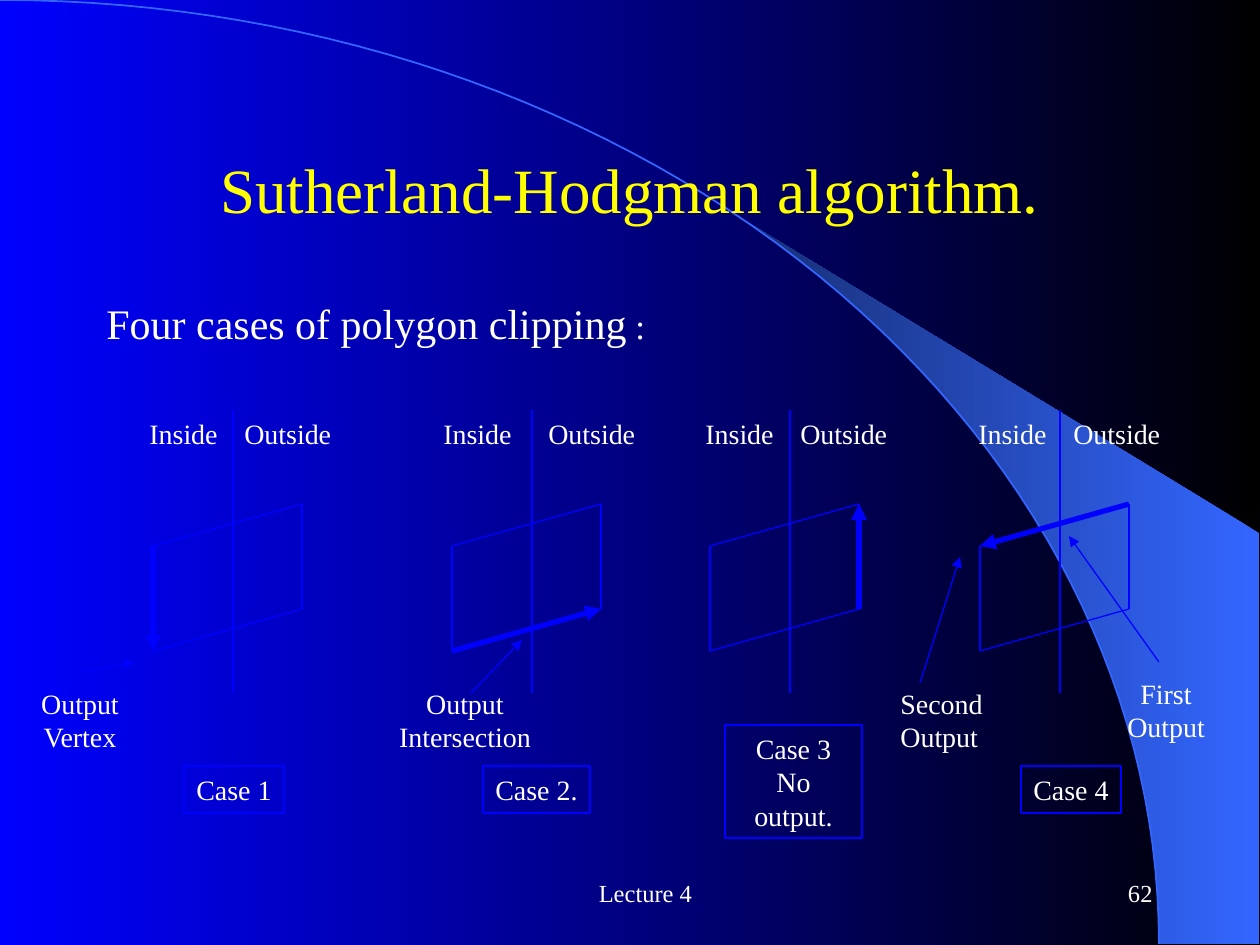
"""Build a slide on the four cases of Sutherland-Hodgman polygon clipping."""
from math import asin, cos, pi, sin

from lxml.etree import SubElement
from pptx import Presentation
from pptx.dml.color import RGBColor
from pptx.enum.shapes import MSO_CONNECTOR as Connector, MSO_SHAPE as Shape
from pptx.enum.text import MSO_ANCHOR as Anchor, MSO_AUTO_SIZE as AutoSize, PP_ALIGN as Align
from pptx.oxml.ns import qn
from pptx.util import Emu, Pt

WHITE = RGBColor(0xFF, 0xFF, 0xFF)
YELLOW = RGBColor(0xFF, 0xFF, 0x00)
BLACK = RGBColor(0x00, 0x00, 0x00)
BLUE = RGBColor(0x00, 0x00, 0xFF)
SKY = RGBColor(0x33, 0x66, 0xFF)
NAVY = RGBColor(0x17, 0x2F, 0x75)
FONT = "Times New Roman"
EMU_PER_PX = 914400 / 126

TITLE = "Sutherland-Hodgman algorithm."
INTRO = "Four cases of polygon clipping"
INTRO_END = " :"
FOOTER = "Lecture 4"
PAGE_NUMBER = "62"

CASES = [
    dict(wall=233, inside=137, outside=232, edge=("top left", "bottom left"),
         caption=("Case 1", 184, 766, 100, 47),
         notes=[("Output\nVertex", 27, 680, 106, Align.CENTER)],
         pointers=[((83, 672), (134, 662))]),
    dict(wall=532, inside=431, outside=536, edge=("bottom left", "bottom right"),
         caption=("Case 2.", 483, 766, 107, 47),
         notes=[("Output\nIntersection", 384, 680, 162, Align.CENTER)],
         pointers=[((471, 693), (522, 640))]),
    dict(wall=790, inside=693, outside=788, edge=("bottom right", "top right"),
         caption=("Case 3\nNo output.", 725, 725, 137, 113),
         notes=[], pointers=[]),
    dict(wall=1060, inside=966, outside=1061, edge=("top right", "top left"),
         caption=("Case 4", 1021, 766, 100, 47),
         notes=[("Second\nOutput", 888, 680, 110, Align.LEFT),
                ("First\nOutput", 1113, 670, 106, Align.CENTER)],
         pointers=[((920, 683), (960, 557)), ((1159, 662), (1069, 536))]),
]

ARC_WIDTH, ARC_HEIGHT = 1159, 944
BAND_START, BAND_RIGHT, BAND_CORNER = 742, 1259, 533
WALL_TOP, WALL_BOTTOM = 410, 693


def px(length):
    return Emu(round(length * EMU_PER_PX))


def format_run(run, size, color=WHITE):
    run.font.name = FONT
    run.font.size = Pt(size)
    run.font.color.rgb = color


def add_text(slide, text, left, top, width, height, size=16, align=Align.LEFT,
             anchor=Anchor.TOP, wrap=False, outline=False):
    box = tuple(map(px, (left, top, width, height)))
    if outline:
        shape = slide.shapes.add_shape(Shape.RECTANGLE, *box)
        shape.shadow.inherit = False
        shape.fill.background()
        shape.line.color.rgb = BLUE
        shape.line.width = Pt(0.75)
    else:
        shape = slide.shapes.add_textbox(*box)
    frame = shape.text_frame
    frame.text = text
    frame.word_wrap = wrap
    frame.auto_size = AutoSize.NONE if wrap else AutoSize.SHAPE_TO_FIT_TEXT
    frame.vertical_anchor = anchor
    for paragraph in frame.paragraphs:
        paragraph.alignment = align
        format_run(paragraph.runs[0], size)
    return shape


def add_line(slide, start, end, width=0.75, arrow=False):
    line = slide.shapes.add_connector(Connector.STRAIGHT, *map(px, start + end))
    line.line.color.rgb = BLUE
    line.line.width = Pt(width)
    if arrow:
        SubElement(line.line._get_or_add_ln(), qn("a:tailEnd"), type="triangle")
    SubElement(line.element.spPr, qn("a:effectLst"))


def add_outline(slide, points, close):
    points = [(px(x), px(y)) for x, y in points]
    builder = slide.shapes.build_freeform(*points[0])
    builder.add_line_segments(points[1:], close=close)
    shape = builder.convert_to_shape()
    shape.shadow.inherit = False
    return shape


def arc_points(first_angle, steps=60):
    angles = [first_angle + (pi / 2 - first_angle) * i / steps for i in range(steps + 1)]
    return [(ARC_WIDTH * sin(a), ARC_HEIGHT * (1 - cos(a))) for a in angles]


def set_gradient(fill, first, last):
    fill.gradient()
    fill.gradient_angle = 180
    for stop, color in zip(fill.gradient_stops, (first, last)):
        stop.color.rgb = color


def add_backdrop(slide):
    set_gradient(slide.background.fill, BLACK, BLUE)
    corners = [(BAND_RIGHT, ARC_HEIGHT), (BAND_RIGHT, BAND_CORNER)]
    band = add_outline(slide, arc_points(asin(BAND_START / ARC_WIDTH)) + corners, True)
    set_gradient(band.fill, SKY, NAVY)
    band.line.fill.background()
    arc = add_outline(slide, arc_points(0), False)
    arc.fill.background()
    arc.line.color.rgb = SKY
    arc.line.width = Pt(1)


def add_title(slide):
    title = slide.shapes.title
    title.left, title.top, title.width, title.height = map(px, (94, 136, 1071, 105))
    title.text_frame.text = TITLE
    title.text_frame.vertical_anchor = Anchor.MIDDLE
    paragraph = title.text_frame.paragraphs[0]
    paragraph.alignment = Align.CENTER
    format_run(paragraph.runs[0], 36, YELLOW)
    title.element.getparent().append(title.element)


def add_intro(slide):
    intro = add_text(slide, INTRO, 94, 291, 567, 63, size=24)
    ending = intro.text_frame.paragraphs[0].add_run()
    ending.text = INTRO_END
    format_run(ending, 20)


def add_case(slide, case):
    wall = case["wall"]
    left, right = wall - 80, wall + 69
    corners = {"top left": (left, 546), "top right": (right, 504),
               "bottom right": (right, 609), "bottom left": (left, 651)}
    points = list(corners.values())
    add_line(slide, (wall, WALL_TOP), (wall, WALL_BOTTOM))
    for start, end in zip(points, points[1:] + points[:1]):
        add_line(slide, start, end)
    add_text(slide, "Inside", case["inside"], WALL_TOP, 93, 47)
    add_text(slide, "Outside", case["outside"], WALL_TOP, 112, 47)
    start, end = case["edge"]
    add_line(slide, corners[start], corners[end], width=3, arrow=True)
    add_text(slide, *case["caption"], align=Align.CENTER,
             wrap="\n" in case["caption"][0], outline=True)
    for text, x, y, width, align in case["notes"]:
        add_text(slide, text, x, y, width, 81, align=align)
    for start, end in case["pointers"]:
        add_line(slide, start, end, arrow=True)


def main():
    presentation = Presentation()
    presentation.slide_width, presentation.slide_height = px(1260), px(945)
    slide = presentation.slides.add_slide(presentation.slide_layouts[5])
    add_backdrop(slide)
    add_title(slide)
    add_intro(slide)
    for case in CASES:
        add_case(slide, case)
    footer_style = dict(size=14, anchor=Anchor.MIDDLE, wrap=True)
    add_text(slide, FOOTER, 461, 861, 369, 63, align=Align.CENTER, **footer_style)
    add_text(slide, PAGE_NUMBER, 903, 861, 262, 63, align=Align.RIGHT, **footer_style)
    presentation.save("out.pptx")


if __name__ == "__main__":
    main()
